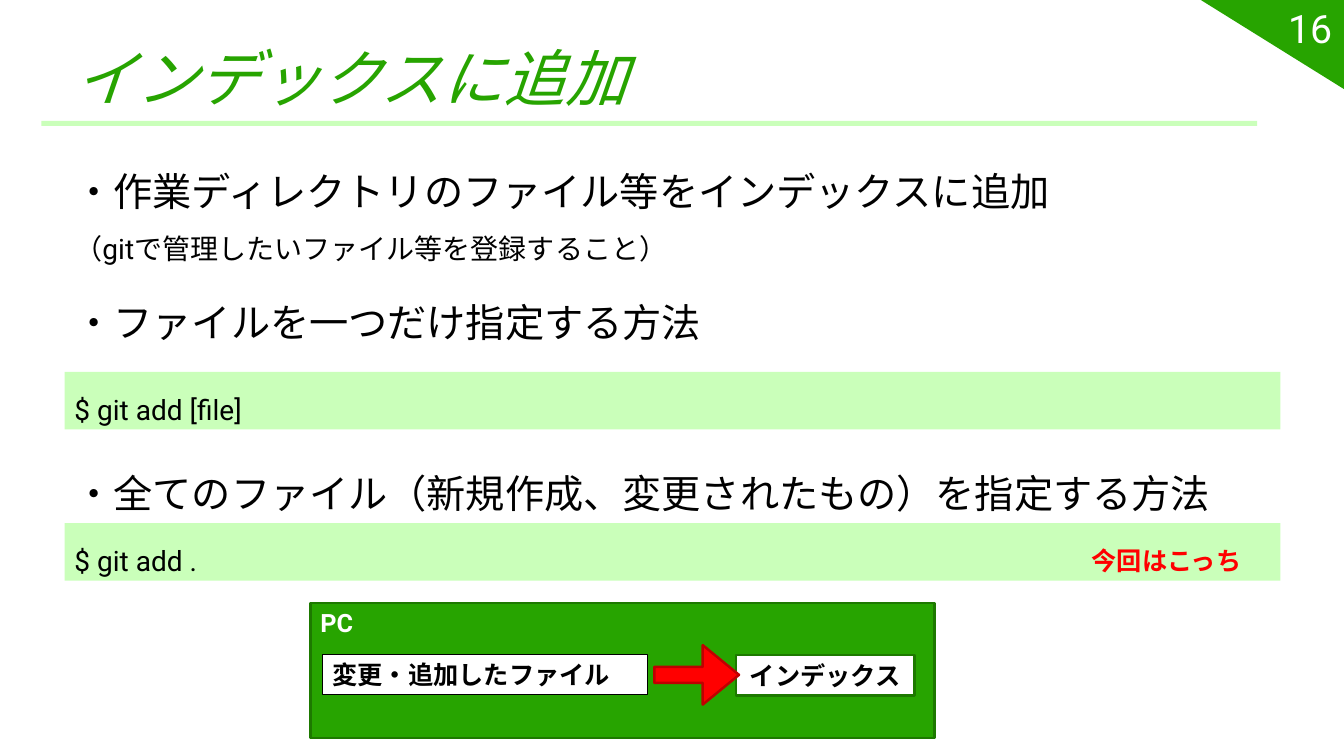
import pptx
import pptx.dml.color
import pptx.enum.shapes
import pptx.enum.text
import pptx.oxml.ns
import pptx.util
from lxml import etree

Inches = pptx.util.Inches
Pt = pptx.util.Pt
SHAPE = pptx.enum.shapes.MSO_SHAPE
ANCHOR = pptx.enum.text.MSO_ANCHOR
ALIGN = pptx.enum.text.PP_ALIGN

COLORS = {
    "green": "27A400", "dark green": "1D7900", "pale green": "CAFFBA",
    "red": "FF0000", "dark red": "C00000", "black": "000000", "white": "FFFFFF",
}
FONT = "Roboto"
LEFT, WIDTH = 0.64, 12.06


def color(name):
    """Return the named colour."""
    return pptx.dml.color.RGBColor.from_string(COLORS[name])


def write(shape, lines, ink="black", bold=False, italic=False, spacing=None,
          anchor=ANCHOR.TOP, align=ALIGN.LEFT):
    """Write (text, size) lines into a shape and format them."""
    frame = shape.text_frame
    frame.word_wrap = True
    frame.vertical_anchor = anchor
    frame.text = "\n".join(text for text, size in lines)
    for para, (text, size) in zip(frame.paragraphs, lines):
        para.alignment = align
        para.line_spacing = spacing
        for span in para.runs:
            span.font.name = FONT
            span.font.size = Pt(size)
            span.font.bold = bold
            span.font.italic = italic
            span.font.color.rgb = color(ink)
            east_asian = etree.SubElement(
                span.font._element, pptx.oxml.ns.qn("a:ea"))
            east_asian.set("typeface", FONT)


def add_text(page, box, lines, **style):
    """Add a text box at (left, top, width, height)."""
    label = page.shapes.add_textbox(*map(Inches, box))
    write(label, lines, **style)
    return label


def add_block(page, box, fill, line=None, weight=1.75, kind=SHAPE.RECTANGLE):
    """Add a flat filled shape with an optional outline."""
    block = page.shapes.add_shape(kind, *map(Inches, box))
    block.shadow.inherit = False
    block.fill.solid()
    block.fill.fore_color.rgb = color(fill)
    if line:
        block.line.color.rgb = color(line)
        block.line.width = Pt(weight)
    else:
        block.line.fill.background()
    return block


def add_header(page, title, number):
    """Draw the corner, the rule, the title and the page number."""
    corner = add_block(page, (11.91, 0, 1.43, 0.89), "green",
                       kind=SHAPE.RIGHT_TRIANGLE)
    corner.rotation = 180
    add_block(page, (0.41, 1.2, WIDTH, 0.05), "pale green")
    add_text(page, (LEFT, 0.29, WIDTH, 0.89), [(title, 44)], ink="green",
             italic=True, anchor=ANCHOR.BOTTOM)
    add_text(page, (11.43, 0.08, 1.88, 0.4), [(number, 28)], ink="white",
             anchor=ANCHOR.MIDDLE, align=ALIGN.RIGHT)


def add_point(page, top, height, *lines):
    """Add a point with its optional remark."""
    add_text(page, (LEFT, top, WIDTH, height), lines, spacing=1.5)


def add_command(page, top, command):
    """Add a command on a pale band."""
    band = add_block(page, (LEFT, top, WIDTH, 0.57), "pale green")
    write(band, [(command, 20)], spacing=1.5, anchor=ANCHOR.MIDDLE)
    para = band.text_frame.paragraphs[0]
    para.space_before = Pt(4)
    para.space_after = Pt(6)


def add_diagram(page, box):
    """Draw the PC with an arrow from changed files to the index."""
    left, top, width, height = box
    add_block(page, box, "green", "dark green")
    add_text(page, (left, top, 0.67, 0.4), [("PC", 18)], ink="white", bold=True)
    index = add_block(page, (left + 4.22, top + 0.52, 1.77, 0.4),
                      "white", "dark green")
    write(index, [("インデックス", 18)], bold=True, anchor=ANCHOR.MIDDLE,
          align=ALIGN.CENTER)
    files = add_block(page, (left + 0.12, top + 0.51, 3.22, 0.4),
                      "white", "black", 0.75)
    write(files, [("変更・追加したファイル", 18)], bold=True)
    arrow = add_block(page, (left + 3.41, top + 0.42, 0.84, 0.59),
                      "red", "dark red", kind=SHAPE.RIGHT_ARROW)
    arrow.adjustments[0] = 0.27
    arrow.adjustments[1] = 0.61


def main():
    """Build the slide and save it."""
    deck = pptx.Presentation()
    deck.slide_width = Inches(13.33)
    deck.slide_height = Inches(7.5)
    page = deck.slides.add_slide(deck.slide_layouts[6])
    add_header(page, "インデックスに追加", "16")
    add_point(page, 1.38, 1.58,
              ("・作業ディレクトリのファイル等をインデックスに追加", 28),
              ("（gitで管理したいファイル等を登録すること）", 20))
    add_point(page, 2.68, 1.58, ("・ファイルを一つだけ指定する方法", 28))
    add_command(page, 3.69, "$ git add [file]")
    add_point(page, 4.37, 1,
              ("・全てのファイル（新規作成、変更されたもの）を指定する方法", 28))
    add_command(page, 5.19, "$ git add .")
    add_text(page, (10.73, 5.36, 2.38, 0.4), [("今回はこっち", 18)],
             ink="red", bold=True)
    add_diagram(page, (3.08, 5.98, 6.19, 1.34))
    deck.save("out.pptx")


if __name__ == "__main__":
    main()
